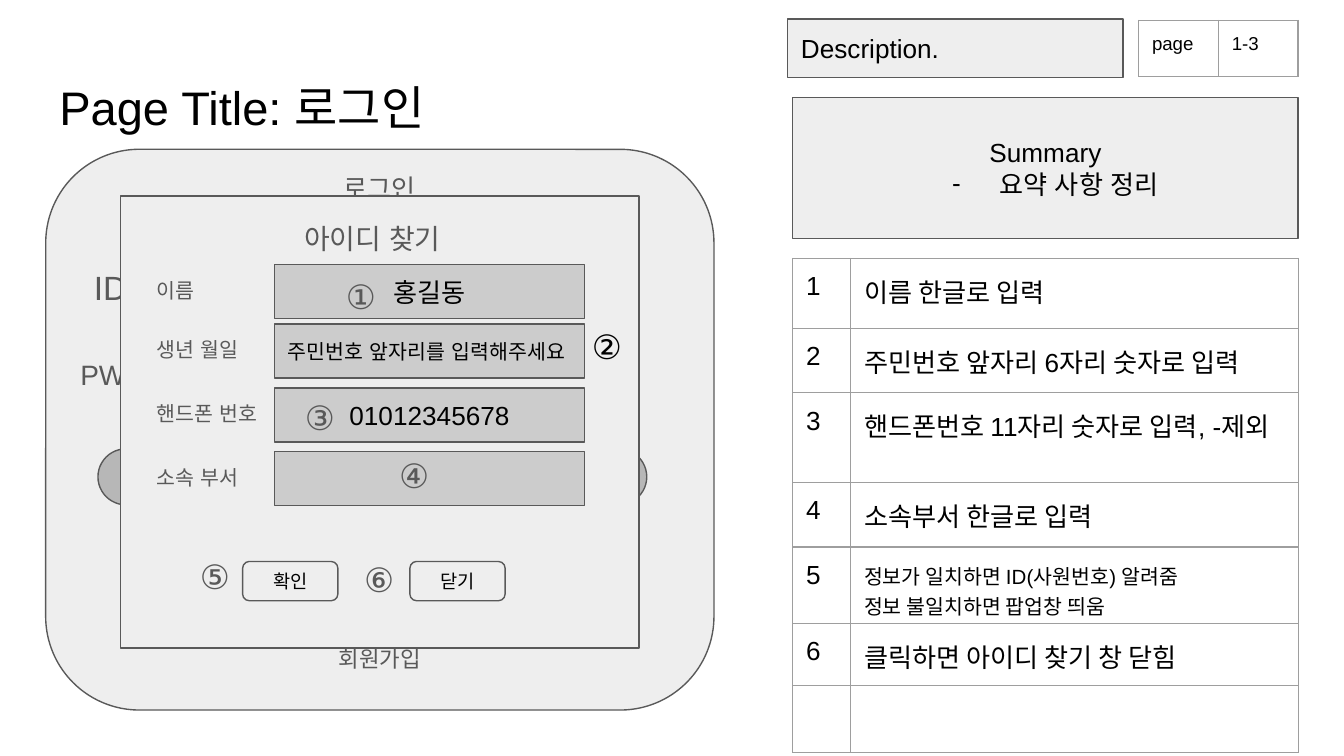
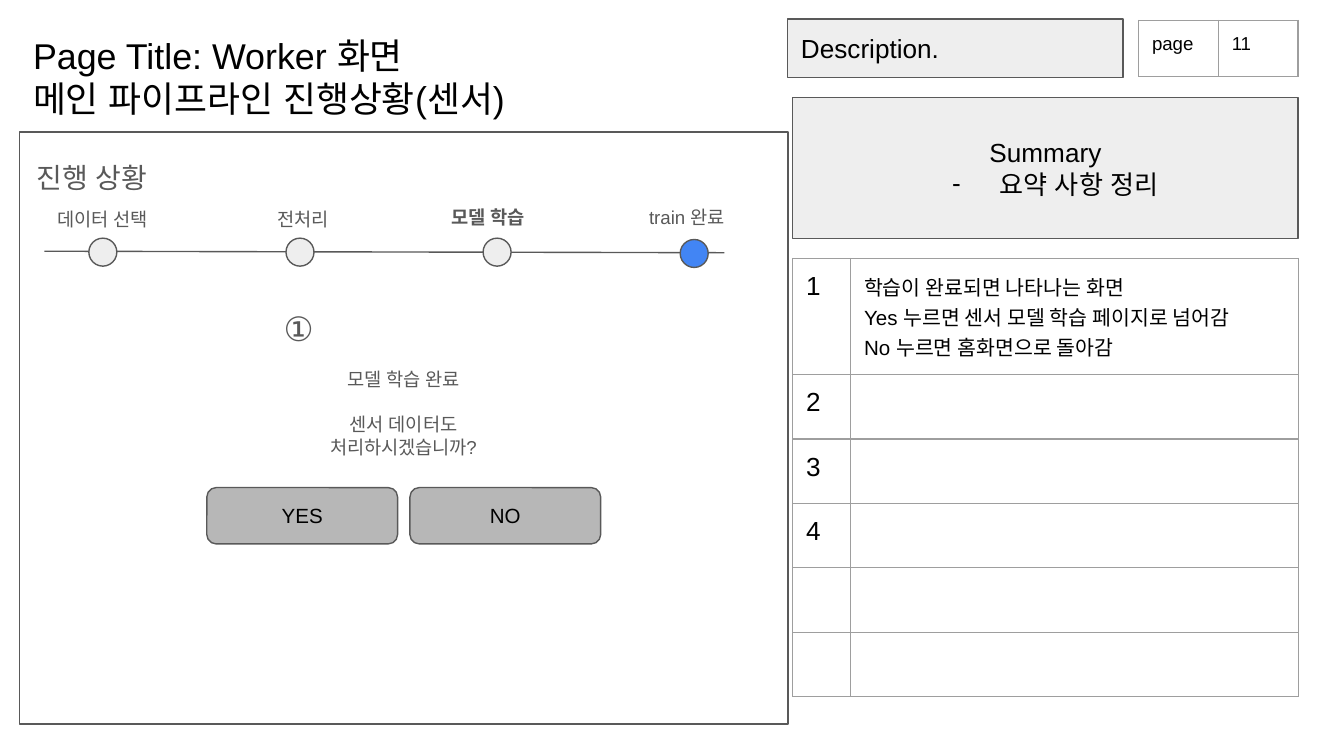
from lxml import etree
from pptx import Presentation
from pptx import util as u
from pptx.dml import color as dml
from pptx.enum import shapes, text
from pptx.oxml import ns

COLORS = {
    "ink": "000000", "muted": "595959", "grid": "9E9E9E", "paper": "FFFFFF",
    "panel": "EEEEEE", "field": "CCCCCC", "button": "B7B7B7", "active": "4285F4",
}
FONT = "Arial"
INSET = 7.2
LEFT, CENTER = text.PP_ALIGN.LEFT, text.PP_ALIGN.CENTER
TOP, MIDDLE = text.MSO_ANCHOR.TOP, text.MSO_ANCHOR.MIDDLE
RECT = shapes.MSO_SHAPE.RECTANGLE
ROUND = shapes.MSO_SHAPE.ROUNDED_RECTANGLE
OVAL = shapes.MSO_SHAPE.OVAL

# Boxes are (left, top, width, height) in points
DESCRIPTION = (422, 10.2, 179.6, 31.4)
PAGE_NUMBER = (610, 11, 85.4, 30.2)
SUMMARY = (424.7, 52.2, 270.8, 75.6)
NOTES = (424.7, 138.5, 270.8, 236)
LOGIN = (24.5, 80, 358, 300.4)
POPUP = (64.4, 105, 278, 242.3)
PROGRESS = (10.6, 70.8, 411.6, 317)


def rgb(color):
    return dml.RGBColor.from_string(COLORS[color])


def within(box, dx, dy, width, height):
    return box[0] + dx, box[1] + dy, width, height


def points(box):
    return [u.Pt(value) for value in box]


def sub(parent, tag, **attributes):
    return etree.SubElement(parent, ns.qn(tag), attributes)


# Text
def add_run(paragraph, words, size, color="ink", bold=False, east_asian=True):
    run = paragraph.add_run()
    run.text = words
    run.font.size = u.Pt(size)
    run.font.name = FONT
    run.font.color.rgb = rgb(color)
    if bold:
        run.font.bold = True
    if east_asian:
        sub(run.font._element, "a:ea", typeface=FONT)


def write(frame, lines, size, color="ink", align=LEFT, anchor=TOP, bold=False):
    frame.word_wrap = True
    frame.vertical_anchor = anchor
    frame.margin_left = frame.margin_right = u.Pt(INSET)
    frame.margin_top = frame.margin_bottom = u.Pt(INSET)
    for index, line in enumerate(lines):
        paragraph = frame.add_paragraph() if index else frame.paragraphs[0]
        paragraph.alignment = align
        add_run(paragraph, line, size, color, bold)
    return frame


def add_label(slide, box, words, size, color="muted", **style):
    lines = [words] if isinstance(words, str) else words
    label = slide.shapes.add_textbox(*points(box))
    return write(label.text_frame, lines, size, color, **style)


def add_marker(slide, box, number, color="muted"):
    add_label(slide, box, number, 18, color)


# Shapes
def add_block(slide, kind, box, fill, words=None, size=14, align=CENTER, radius=None):
    block = slide.shapes.add_shape(kind, *points(box))
    block.shadow.inherit = False
    block.fill.solid()
    block.fill.fore_color.rgb = rgb(fill)
    block.line.color.rgb = rgb("muted")
    block.line.width = u.Pt(0.75)
    if radius is not None:
        block.adjustments[0] = radius
    if words:
        write(block.text_frame, words, size, align=align, anchor=MIDDLE)
    return block


# Tables
def style_cell(cell, words, size, empty_size):
    cell.margin_left = cell.margin_right = u.Pt(INSET)
    cell.margin_top = cell.margin_bottom = u.Pt(INSET)
    cell.fill.background()
    properties = cell._tc.get_or_add_tcPr()
    for index, side in enumerate(("lnL", "lnR", "lnT", "lnB")):
        border = etree.Element(ns.qn("a:" + side), {"w": str(u.Pt(0.75))})
        sub(sub(border, "a:solidFill"), "a:srgbClr", val=COLORS["grid"])
        properties.insert(index, border)
    paragraph = cell.text_frame.paragraphs[0]
    if not words:
        sub(paragraph._p, "a:endParaRPr", sz=str(empty_size * 100))
        return
    for index, line in enumerate(words.split("\n")):
        if index:
            paragraph.add_line_break()
        add_run(paragraph, line, size, east_asian=False)


def add_grid(slide, box, widths, heights, rows, empty_size=14):
    """Each row is a list of (words, size) pairs."""
    frame = slide.shapes.add_table(len(rows), len(widths), *points(box))
    grid = frame.table
    grid.first_row = grid.horz_banding = False
    for column, width in zip(grid.columns, widths):
        column.width = u.Pt(width)
    for row, height, contents in zip(grid.rows, heights, rows):
        row.height = u.Pt(height)
        for cell, (words, size) in zip(row.cells, contents):
            style_cell(cell, words, size, empty_size)


# Right-hand column shared by both slides
def add_summary(slide, box):
    summary = add_block(slide, RECT, box, "panel", ["Summary", "요약 사항 정리"])
    bullet = summary.text_frame.paragraphs[1]._p.get_or_add_pPr()
    bullet.set("marL", str(u.Pt(36)))
    bullet.set("indent", str(u.Pt(-25.2)))
    sub(sub(bullet, "a:buClr"), "a:srgbClr", val=COLORS["ink"])
    sub(bullet, "a:buFont", typeface=FONT)
    sub(bullet, "a:buChar", char="-")


def add_description(slide, page, notes, heights, empty_size):
    add_summary(slide, SUMMARY)
    rows = [[(number, 14), (note, size)] for number, note, size in notes]
    add_grid(slide, NOTES, (31, 239.8), heights, rows, empty_size)
    add_block(slide, RECT, DESCRIPTION, "panel", ["Description."], align=LEFT)
    half = PAGE_NUMBER[2] / 2
    add_grid(slide, PAGE_NUMBER, (half, half), [PAGE_NUMBER[3]],
             [[("page", 10), (page, 10)]])


# Login screen behind the popup
def add_login(slide, box):
    add_block(slide, ROUND, box, "panel", radius=0.167)
    add_label(slide, within(box, 143.3, 5, 71.4, 32), "로그인", 14, align=CENTER)
    add_label(slide, within(box, 18.7, 56, 34, 36), "ID", 18)
    add_label(slide, within(box, 11.5, 104.3, 45.4, 32.4), "PW", 15)
    add_block(slide, ROUND, within(box, 28, 160.5, 294, 30), "button", ["로그인"], radius=0.5)
    add_label(slide, within(box, 141.2, 258.5, 75.6, 29), "회원가입", 12, align=CENTER)


# Popup for finding an ID
def add_id_popup(slide, box):
    add_block(slide, RECT, box, "panel")
    add_label(slide, within(box, 91.5, 6.6, 88, 32.4), "아이디 찾기", 15)
    fields = [
        (36.8, "이름", ["홍길동"], 14, CENTER),
        (68.5, "생년 월일", ["주민번호 앞자리를 입력해주세요"], 11, LEFT),
        (102.8, "핸드폰 번호", ["01012345678"], 14, CENTER),
        (137, "소속 부서", None, 14, CENTER),
    ]
    for dy, name, value, size, align in fields:
        add_label(slide, within(box, 12.6, dy + 0.5, 75.6, 28), name, 11)
        add_block(slide, RECT, within(box, 82.6, dy, 166.2, 29), "field", value, size, align)
    for dx, action in ((65.6, "확인"), (155.2, "닫기")):
        add_block(slide, ROUND, within(box, dx, 195.8, 51, 21), "panel", [action], 10,
                  radius=0.167)
    markers = [
        ("①", 113.8, 35.4, "muted"), ("②", 245.6, 62.6, "ink"),
        ("③", 91.8, 100.2, "muted"), ("④", 142.4, 131.4, "muted"),
        ("⑤", 35.6, 185.8, "muted"), ("⑥", 123.6, 187.3, "muted"),
    ]
    for number, dx, dy, color in markers:
        add_marker(slide, within(box, dx, dy, 34, 36), number, color)


# Progress steps along a line
def add_steps(slide, box):
    left, top = box[:2]
    track = slide.shapes.add_connector(
        shapes.MSO_CONNECTOR.STRAIGHT,
        *points((left + 13.2, top + 63.8, left + 377.5, top + 64.6)))
    track.line.color.rgb = rgb("muted")
    track.line.width = u.Pt(0.75)
    sub(track._element.spPr, "a:effectLst")
    steps = [
        ("데이터 선택", 13, 34.4, 97, TOP, False),
        ("전처리", 131.2, 34.8, 50.4, MIDDLE, False),
        ("모델 학습", 224, 34.2, 63.4, MIDDLE, True),
        ("train 완료", 330, 34.2, 63.4, MIDDLE, False),
    ]
    for index, (name, dx, dy, width, anchor, bold) in enumerate(steps):
        last = index == len(steps) - 1
        dot = within(box, 37 + index * 105.6, 57.5 if last else 56.8, 15, 15)
        add_block(slide, OVAL, dot, "active" if last else "panel")
        add_label(slide, within(box, dx, dy, width, 23), name, 10, anchor=anchor, bold=bold)


# Progress screen with its question
def add_progress(slide, box):
    add_block(slide, RECT, box, "paper")
    add_label(slide, within(box, 1.8, 8.2, 317.5, 32.4), "진행 상황", 15)
    add_steps(slide, box)
    question = add_label(slide, within(box, 134.2, 119.3, 142.6, 63.4),
                         ["모델 학습 완료", "센서 데이터도 처리하시겠습니까?"], 10, align=CENTER)
    question.paragraphs[1].space_before = u.Pt(12)
    for index, answer in enumerate(("YES", "NO")):
        add_block(slide, ROUND, within(box, 100.2 + index * 108.8, 190.4, 102.2, 30.2),
                  "button", [answer], 11, radius=0.167)
    add_marker(slide, within(box, 134.2, 86.8, 34, 36), "①")


def build_login_slide(slide):
    add_label(slide, (24.7, 35, 671, 45.4), "Page Title: 로그인", 25.2, "ink")
    notes = [
        ("1", "이름 한글로 입력", 14),
        ("2", "주민번호 앞자리 6자리 숫자로 입력", 14),
        ("3", "핸드폰번호 11자리 숫자로 입력, -제외", 14),
        ("4", "소속부서 한글로 입력", 14),
        ("5", "정보가 일치하면 ID(사원번호) 알려줌\n정보 불일치하면 팝업창 띄움", 11),
        ("6", "클릭하면 아이디 찾기 창 닫힘", 14),
        ("", "", 14),
    ]
    add_description(slide, "1-3", notes, [37.5] + [34.5] * 4 + [33.2] * 2, 18)
    add_login(slide, LOGIN)
    add_id_popup(slide, POPUP)


def build_progress_slide(slide):
    done = "학습이 완료되면 나타나는 화면\nYes 누르면 센서 모델 학습 페이지로 넘어감\nNo 누르면 홈화면으로 돌아감"
    notes = [("1", done, 11)]
    notes += [(number, "", 14) for number in ("2", "3", "4", "", "")]
    add_description(slide, "11", notes, [62.2] + [34.5] * 5, 14)
    add_progress(slide, PROGRESS)
    add_label(slide, (10.6, 10.8, 400, 45.4),
              ["Page Title: Worker 화면", "메인 파이프라인 진행상황(센서)"], 19.2, "ink")


def main():
    deck = Presentation()
    deck.slide_width, deck.slide_height = u.Pt(720), u.Pt(405)
    for build in (build_login_slide, build_progress_slide):
        build(deck.slides.add_slide(deck.slide_layouts[6]))
    deck.save("out.pptx")


if __name__ == "__main__":
    main()
